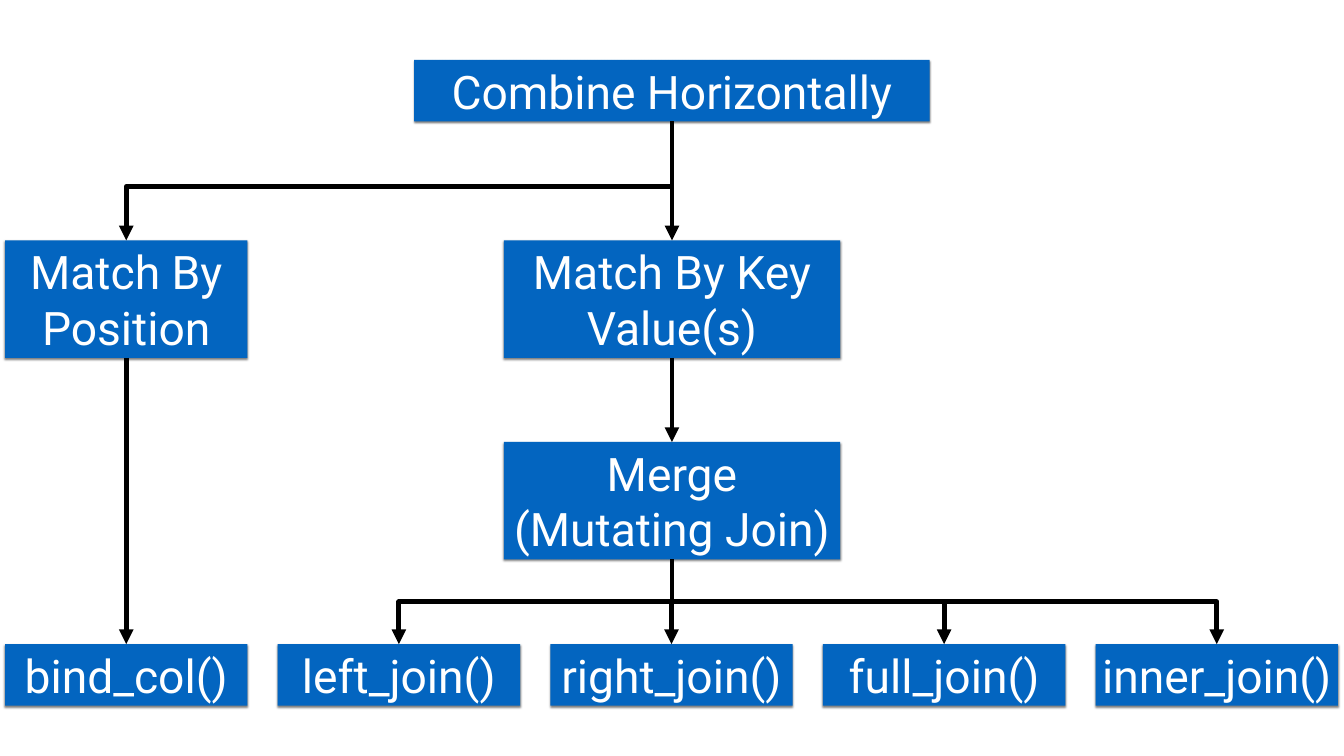
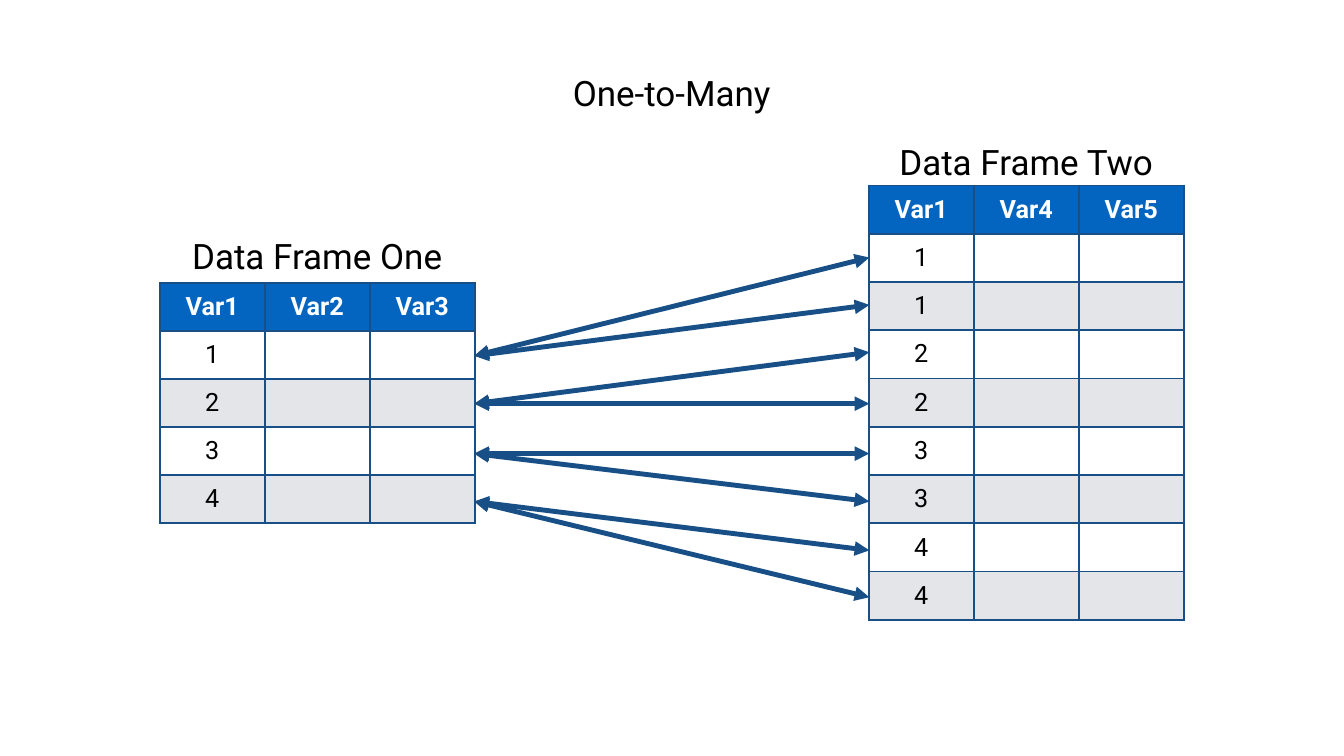
from lxml.etree import SubElement
from pptx import Presentation
from pptx.dml.color import RGBColor
from pptx.enum.shapes import MSO_CONNECTOR, MSO_SHAPE
from pptx.enum.text import MSO_ANCHOR, MSO_AUTO_SIZE, PP_ALIGN
from pptx.oxml import parse_xml
from pptx.oxml.ns import nsdecls, qn
from pptx.util import Pt

# Shared scale, colours and text formats
UNIT = 9144  # 100 px to the inch
BLUE, NAVY, GREY = "0365C0", "174F86", "E3E5E8"
BLACK, WHITE = "000000", "FFFFFF"
FONT = "Roboto"
LINE = 7
TOP, BOTTOM = 0, 2  # connection sites of a rectangle


def px(n):
    return round(n * UNIT)


def rgb(code):
    return RGBColor.from_string(code)


def put(obj, vals):
    for name, val in vals.items():
        setattr(obj, name, val)


MARGIN = {f"margin_{side}": px(6) for side in ("left", "right", "top", "bottom")}
FRAME = {"vertical_anchor": MSO_ANCHOR.MIDDLE,
         "auto_size": MSO_AUTO_SIZE.SHAPE_TO_FIT_TEXT, **MARGIN}
CELL = {"vertical_anchor": MSO_ANCHOR.MIDDLE, **MARGIN}


def paint(obj, code):
    obj.fill.solid()
    obj.fill.fore_color.rgb = rgb(code)


def write(frame, text, size, code, bold=False):
    frame.text = text
    for par in frame.paragraphs:
        par.alignment = PP_ALIGN.CENTER
        put(par.font, {"name": FONT, "size": Pt(size), "bold": bold})
        par.font.color.rgb = rgb(code)


# Boxes and labels
def add_box(slide, text, x, y, w, h):
    box = slide.shapes.add_shape(MSO_SHAPE.RECTANGLE, px(x), px(y), px(w), px(h))
    paint(box, BLUE)
    box.line.fill.background()
    box.shadow.inherit = False
    effect = box._element.spPr.find(qn("a:effectLst"))
    effect.append(parse_xml(
        f'<a:outerShdw {nsdecls("a")} blurRad="{Pt(3)}" dist="{Pt(2)}" '
        f'dir="5400000" rotWithShape="0"><a:srgbClr val="{BLACK}">'
        '<a:alpha val="50000"/></a:srgbClr></a:outerShdw>'))
    put(box.text_frame, {**FRAME, "word_wrap": True})
    write(box.text_frame, text, 66, WHITE)
    return box


def add_label(slide, text, x, y, w, h):
    label = slide.shapes.add_textbox(px(x), px(y), px(w), px(h))
    put(label.text_frame, {**FRAME, "word_wrap": False})
    write(label.text_frame, text, 50, BLACK)


# Lines and arrows
def add_line(slide, kind, ends, code, heads):
    line = slide.shapes.add_connector(kind, *[px(n) for n in ends])
    put(line.line, {"width": Pt(LINE)})
    line.line.color.rgb = rgb(code)
    for head in heads:
        SubElement(line.line._get_or_add_ln(), qn(f"a:{head}"), type="triangle")
    SubElement(line._element.spPr, qn("a:effectLst"))
    return line


def link(slide, start, end, bend=50000):
    """Arrow from the bottom of one box to the top of another."""
    gap = (end.left + end.width // 2) - (start.left + start.width // 2)
    straight = abs(gap) < px(1)
    kind = MSO_CONNECTOR.STRAIGHT if straight else MSO_CONNECTOR.ELBOW
    line = add_line(slide, kind, (0, 0, 0, 0), BLACK, ["tailEnd"])
    line.begin_connect(start, BOTTOM)
    line.end_connect(end, TOP)
    if straight:
        return
    # An elbow that leaves downwards is a turned horizontal one
    wide, high = line.width, line.height
    put(line, {"left": line.left + (wide - high) // 2,
               "top": line.top + (high - wide) // 2,
               "width": high, "height": wide})
    xfrm = line._element.spPr.find(qn("a:xfrm"))
    for flip in ("flipH", "flipV"):
        xfrm.attrib.pop(flip, None)
    xfrm.set("rot", str((90 if gap < 0 else 270) * 60000))
    if gap > 0:
        xfrm.set("flipH", "1")
    geom = line._element.spPr.find(qn("a:prstGeom"))
    guides = geom.find(qn("a:avLst"))
    if guides is None:
        guides = SubElement(geom, qn("a:avLst"))
    SubElement(guides, qn("a:gd"), name="adj1", fmla=f"val {bend}")


# Tables
def edge(cell):
    props = cell._tc.get_or_add_tcPr()
    for i, side in enumerate("LRTB"):
        props.insert(i, parse_xml(
            f'<a:ln{side} {nsdecls("a")} w="{Pt(3)}"><a:solidFill>'
            f'<a:srgbClr val="{NAVY}"/></a:solidFill></a:ln{side}>'))


def add_grid(slide, heads, keys, x, y, h):
    rows = [heads] + [(key, "", "") for key in keys]
    table = slide.shapes.add_table(len(rows), len(heads), px(x), px(y),
                                   px(625), px(h)).table
    table.horz_banding = False
    for r, row in enumerate(rows):
        for c, text in enumerate(row):
            cell = table.cell(r, c)
            put(cell, CELL)
            paint(cell, BLUE if r == 0 else WHITE if r % 2 else GREY)
            edge(cell)
            if text:
                write(cell.text_frame, text, 36, BLACK if r else WHITE, r == 0)


# Slides
def draw_tree(slide):
    root = add_box(slide, "Combine Horizontally", 822, 119, 1023, 122)
    place = add_box(slide, "Match By Position", 10, 477, 481, 233)
    key = add_box(slide, "Match By Key Value(s)", 1000, 477, 667, 233)
    merge = add_box(slide, "Merge\n(Mutating Join)", 1000, 877, 667, 233)
    names = ("bind_col()", "left_join()", "right_join()", "full_join()",
             "inner_join()")
    bind, *joins = [add_box(slide, name, 10 + 541 * i, 1278, 481, 122)
                    for i, name in enumerate(names)]
    link(slide, root, key)
    link(slide, root, place, 54600)
    link(slide, key, merge)
    for join in joins:
        link(slide, merge, join)
    link(slide, place, bind)


def draw_match(slide):
    add_label(slide, "Data Frame Two", 1774, 272, 525, 95)
    add_label(slide, "One-to-Many", 1124, 136, 418, 94)
    add_grid(slide, ("Var1", "Var2", "Var3"), "1234", 317, 561, 476)
    add_label(slide, "Data Frame One", 365, 460, 529, 95)
    add_grid(slide, ("Var1", "Var4", "Var5"), "11223344", 1724, 368, 862)
    # Each key on the left meets two rows on the right
    ones = (706, 801, 900, 995)
    many = (511, 605, 699, 801, 900, 995, 1092, 1185)
    for i, y in enumerate(many):
        add_line(slide, MSO_CONNECTOR.STRAIGHT, (941, ones[i // 2], 1725, y),
                 NAVY, ["headEnd", "tailEnd"])


def main():
    deck = Presentation()
    put(deck, {"slide_width": px(2667), "slide_height": px(1500)})
    for draw in (draw_tree, draw_match):
        draw(deck.slides.add_slide(deck.slide_layouts[6]))
    deck.save("out.pptx")


if __name__ == "__main__":
    main()
